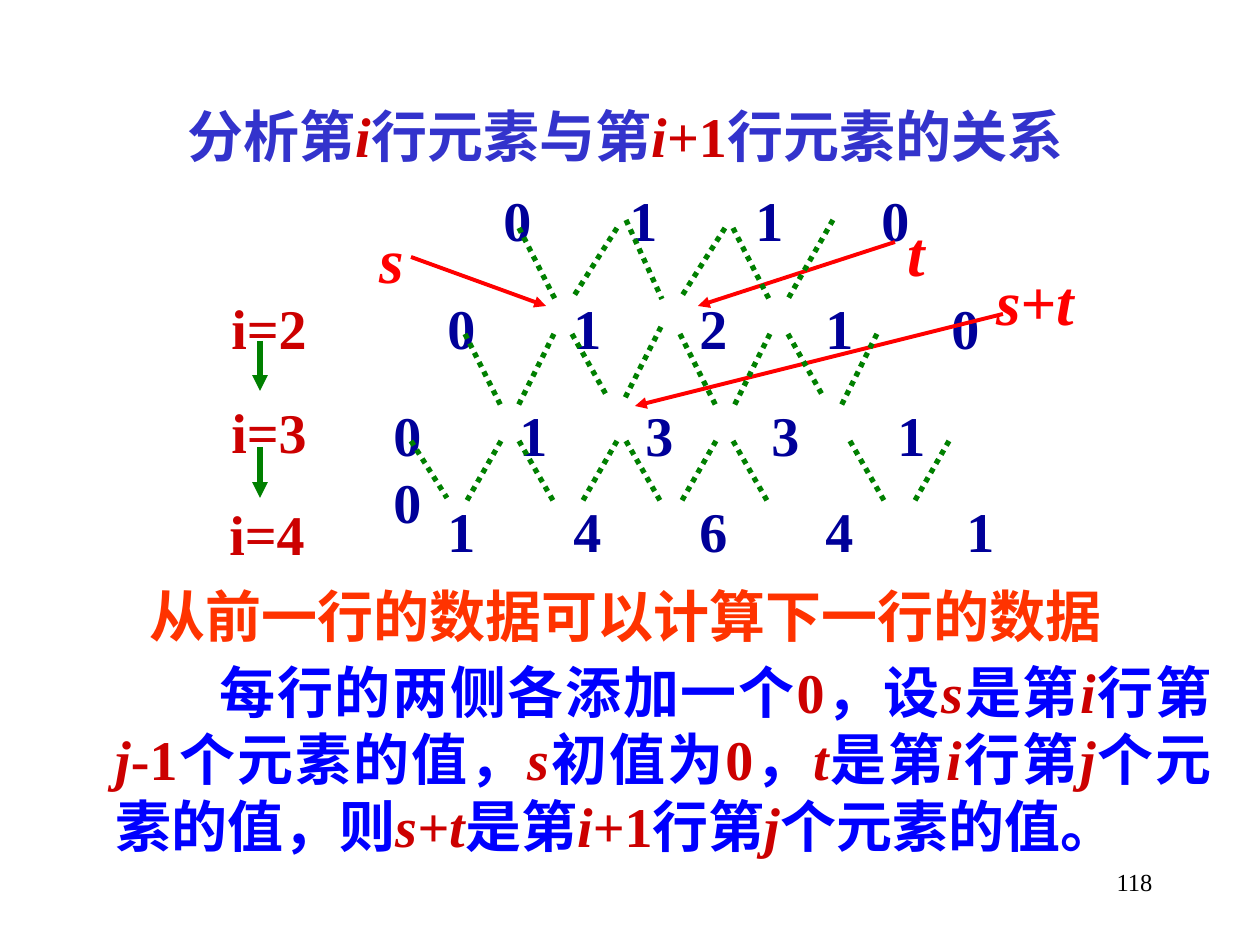
"""Build the slide that derives each triangle row from the row above it."""
from lxml.etree import SubElement as Sub
from pptx import Presentation
from pptx.dml.color import RGBColor as Rgb
from pptx.enum.dml import MSO_LINE as Dash
from pptx.enum.shapes import MSO_CONNECTOR as Link
from pptx.enum.text import PP_ALIGN as Align
from pptx.oxml.ns import qn
from pptx.util import Pt

PX = 914400 // 126
THEME = {
    "font": "Times New Roman",
    "size": {"body": 32, "mark": 36, "page": 14},
    "color": {"title": "3333CC", "red": "CC0000", "claim": "FF3300", "blue": "0000FF",
              "navy": "000099", "mark": "FF0000", "green": "008000", "page": "000000"},
}

TITLE = [("title", "分析第"), ("var", "i"), ("title", "行元素与第"), ("var", "i"),
         ("red", "+1"), ("title", "行元素的关系")]
CLAIM = [("claim", "从前一行的数据可以计算下一行的数据")]
RULE = [
    ("blue", "每行的两侧各添加一个"), ("red", "0"), ("blue", "，设"), ("var", "s"),
    ("blue", "是第"), ("var", "i"), ("blue", "行第"), ("var", "j"), ("red", "-1"),
    ("blue", "个元素的值，"), ("var", "s"), ("blue", "初值为"), ("red", "0"),
    ("blue", "，"), ("var", "t"), ("blue", "是第"), ("var", "i"), ("blue", "行第"),
    ("var", "j"), ("blue", "个元素的值，则"), ("var", "s"), ("red", "+"), ("var", "t"),
    ("blue", "是第"), ("var", "i"), ("red", "+1"), ("blue", "行第"), ("var", "j"),
    ("blue", "个元素的值。"),
]
LABELS = [("i=2", 219, 287), ("i=3", 219, 391), ("i=4", 217, 493)]
ROWS = [
    ("0110", 491, 179, (126, 252, 378)),
    ("01210", 435, 287, (126, 252, 378, 504)),
    ("01331", 381, 394, (126, 252, 378, 504)),
    ("0", 381, 461, ()),
    ("14641", 435, 490, (126, 252, 378, 519)),
]
MARKS = [("s", 367, 214), ("t", 895, 207), ("s+t", 984, 256)]
STEPS = [(260, 341, 260, 391), (260, 447, 260, 498)]
POINTERS = [(411, 257, 546, 306), (895, 242, 698, 306), (1003, 314, 635, 406)]
DOTS = [
    (228, 299, 36, (519, 733)), (220, 299, 36, (626,)),
    (228, 299, -45, (617, 725)), (220, 299, -45, (833,)),
    (334, 406, 36, (465, 680)), (334, 398, 36, (572, 788)),
    (334, 406, -36, (554, 770, 877)), (327, 398, -36, (661,)),
    (441, 498, 36, (411,)), (441, 504, 36, (519, 626, 733, 850)),
    (441, 504, -36, (501, 617, 716, 949)),
]


def tint(name):
    return Rgb.from_string(THEME["color"][name])


def write(slide, runs, x, y, w, h, size="body", align=Align.LEFT, indent=0, tabs=()):
    box = slide.shapes.add_textbox(x * PX, y * PX, w * PX, h * PX)
    box.text_frame.word_wrap = True
    para = box.text_frame.paragraphs[0]
    para.alignment = align
    props = para._p.get_or_add_pPr()
    if indent:
        props.set("indent", str(indent * PX))
    if tabs:
        stops = Sub(props, qn("a:tabLst"))
        for stop in tabs:
            Sub(stops, qn("a:tab"), pos=str(stop * PX), algn="l")
    for style, text in runs:
        run = para.add_run()
        run.text = text
        font = run.font
        font.name = THEME["font"]
        font.size = Pt(THEME["size"][size])
        font.bold = size != "page"
        font.italic = style == "var" or size == "mark"
        font.color.rgb = tint("red" if style == "var" else style)


def draw(slide, ends, color, width, head=True):
    wire = slide.shapes.add_connector(Link.STRAIGHT, *(end * PX for end in ends))
    wire.line.color.rgb = tint(color)
    wire.line.width = Pt(width)
    if head:
        Sub(wire.line._get_or_add_ln(), qn("a:tailEnd"), type="triangle")
    else:
        wire.line.dash_style = Dash.ROUND_DOT
    Sub(wire._element.spPr, qn("a:effectLst"))


def main():
    deck = Presentation()
    deck.slide_width, deck.slide_height = 1260 * PX, 945 * PX
    slide = deck.slides.add_slide(deck.slide_layouts[6])
    write(slide, TITLE, 175, 95, 987, 79)
    write(slide, CLAIM, 137, 575, 1008, 79)
    for text, x, y in LABELS:
        write(slide, [("red", text)], x, y, 116, 80)
    for ends in STEPS:
        draw(slide, ends, "green", 3)
    for cells, x, y, tabs in ROWS:
        wide = max(tabs, default=0) + 60
        write(slide, [("navy", "\t".join(cells))], x, y, wide, 79, tabs=tabs)
    for ends in POINTERS:
        draw(slide, ends, "mark", 2.25)
    for text, x, y in MARKS:
        write(slide, [("mark", text)], x, y, 30 + 30 * len(text), 88, "mark")
    for top, low, shift, starts in DOTS:
        for x in starts:
            draw(slide, (x, top, x + shift, low), "green", 3, False)
    write(slide, RULE, 103, 651, 1121, 217, align=Align.JUSTIFY, indent=104)
    write(slide, [("page", "118")], 903, 861, 262, 63, "page", Align.RIGHT)
    deck.save("out.pptx")


if __name__ == "__main__":
    main()
